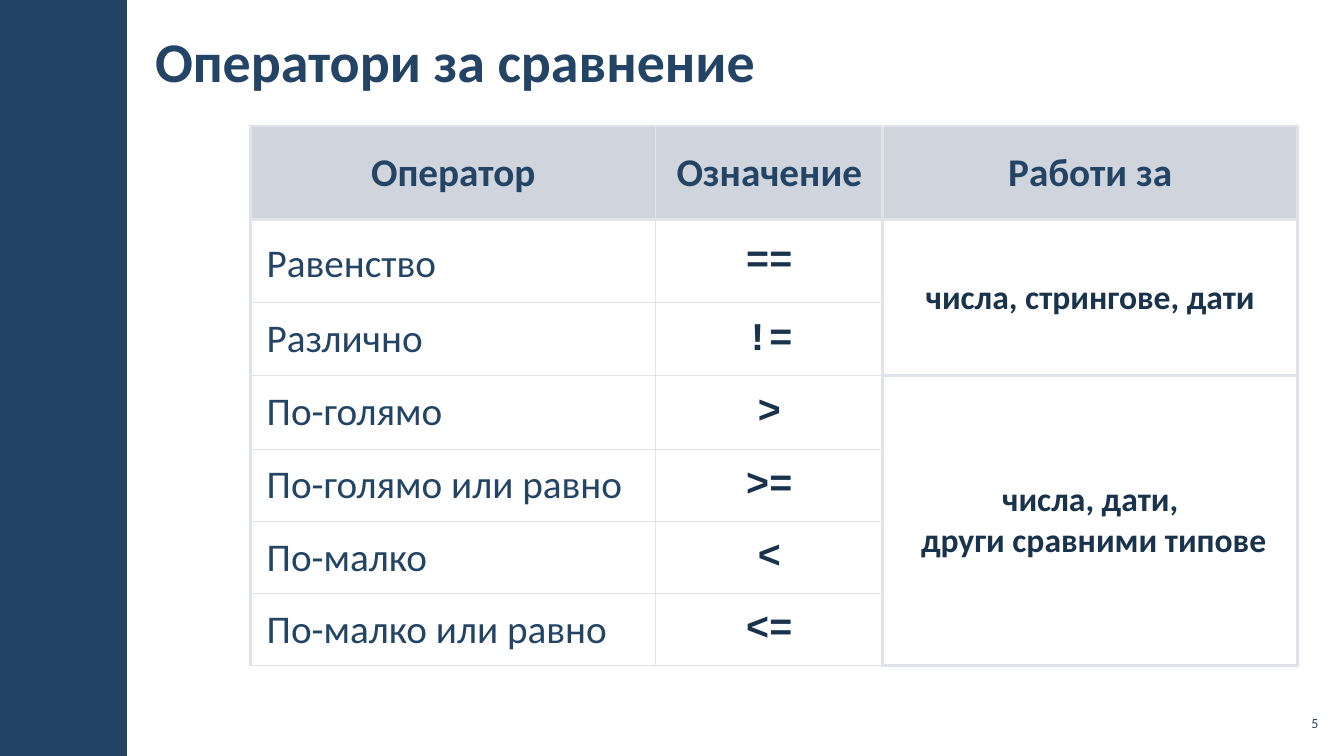
from lxml import etree
from pptx import Presentation
from pptx.dml.color import RGBColor
from pptx.enum import shapes, text
from pptx.oxml.ns import qn
from pptx.util import Pt

NAVY, DARK, BORDER, HEADER = "234465", "1A334C", "E0E3E9", "A3ABBC"
LEFT, CENTER, RIGHT = text.PP_ALIGN.LEFT, text.PP_ALIGN.CENTER, text.PP_ALIGN.RIGHT


def color(value):
    return RGBColor.from_string(value)


def write(p, words, align=LEFT, fg=NAVY, **font):
    p.alignment = align
    r = p.add_run()
    r.text = words
    r.font.color.rgb = color(fg)
    for name, value in {"name": "Calibri", "bold": False, **font}.items():
        setattr(r.font, name, value)


prs = Presentation()
prs.slide_width, prs.slide_height = Pt(960), Pt(540)
s = prs.slides.add_slide(prs.slide_layouts[6])

# Sidebar
sp = s.shapes.add_shape(shapes.MSO_SHAPE.RECTANGLE, 0, 0, Pt(90.75), Pt(540))
sp.shadow.inherit = False
sp.fill.solid()
sp.fill.fore_color.rgb = color(NAVY)
sp.line.fill.background()

# Title and slide number
labels = [
    ("Оператори за сравнение", (102.25, 8, 661, 70), 8.5, LEFT, 40, True),
    ("5", (910.75, 504, 34, 24.5), 3, RIGHT, 10, False),
]
for words, box, inset, align, size, bold in labels:
    tf = s.shapes.add_textbox(*map(Pt, box)).text_frame
    form = {"word_wrap": True, "vertical_anchor": text.MSO_ANCHOR.MIDDLE,
            "margin_left": Pt(inset), "margin_right": Pt(inset),
            "margin_top": Pt(3), "margin_bottom": Pt(3)}
    for name, value in form.items():
        setattr(tf, name, value)
    write(tf.paragraphs[0], words, align, size=Pt(size), bold=bold)

# Table grid
rows = [
    ("Оператор", "Означение", "Работи за"),
    ("Равенство", "==", "числа, стрингове, дати"),
    ("Различно", "!=", ""),
    ("По-голямо", ">", "числа, дати,\nдруги сравними типове"),
    ("По-голямо или равно", ">=", ""),
    ("По-малко", "<", ""),
    ("По-малко или равно", "<=", ""),
]
widths = [289.5, 162, 296.5]
heights = [67, 59, 52, 53, 51.5, 51.5, 51.5]
table = s.shapes.add_table(len(rows), len(widths), Pt(179), Pt(90),
                           Pt(sum(widths)), Pt(sum(heights))).table
table.first_row = table.horz_banding = False
for column, width in zip(table.columns, widths):
    column.width = Pt(width)
for row, height in zip(table.rows, heights):
    row.height = Pt(height)
for first, last in [(1, 2), (3, 6)]:
    table.cell(first, 2).merge(table.cell(last, 2))

# Table cells
body_styles = [
    {"size": Pt(28)},
    {"align": CENTER, "fg": DARK, "size": Pt(28), "name": "Courier New", "bold": True},
    {"align": CENTER, "fg": DARK, "size": Pt(24), "bold": True},
]
header_style = {"align": CENTER, "size": Pt(28), "bold": True}
cell_form = {"vertical_anchor": text.MSO_ANCHOR.MIDDLE,
             "margin_left": Pt(11.5), "margin_right": Pt(11.5),
             "margin_top": Pt(3.6), "margin_bottom": Pt(3.6)}
for i, row in enumerate(rows):
    for j, words in enumerate(row):
        cell = table.cell(i, j)
        if cell.is_spanned:
            continue
        for name, value in cell_form.items():
            setattr(cell, name, value)

        # Thick borders around the header and the last column
        tcPr = cell._tc.get_or_add_tcPr()
        thick = {"lnL": j != 1, "lnR": j != 0,
                 "lnT": i < 2 or j == 2, "lnB": i == 0 or j == 2}
        for edge, is_thick in thick.items():
            ln = etree.SubElement(tcPr, qn("a:" + edge), w=str(Pt(2.25 if is_thick else 1)))
            fill = etree.SubElement(ln, qn("a:solidFill"))
            etree.SubElement(fill, qn("a:srgbClr"), val=BORDER)

        # Half-transparent header fill
        if i == 0:
            cell.fill.solid()
            cell.fill.fore_color.rgb = color(HEADER)
            rgb = tcPr.find(qn("a:solidFill")).find(qn("a:srgbClr"))
            etree.SubElement(rgb, qn("a:alpha"), val="50000")
        else:
            cell.fill.background()

        style = body_styles[j] if i else header_style
        lines = words.split("\n")
        for k, line in enumerate(lines):
            p = cell.text_frame.paragraphs[0] if k == 0 else cell.text_frame.add_paragraph()
            write(p, line, **style)
            if len(lines) == 1:
                p.line_spacing = 0.95
            if k:
                p.alignment = LEFT
                p._p.get_or_add_pPr().set("marL", str(Pt(16)))

# Looser first operator name
p = table.cell(1, 0).text_frame.paragraphs[0]
for name, value in {"line_spacing": 38, "space_before": 6, "space_after": 6}.items():
    setattr(p, name, Pt(value))

prs.save("out.pptx")
